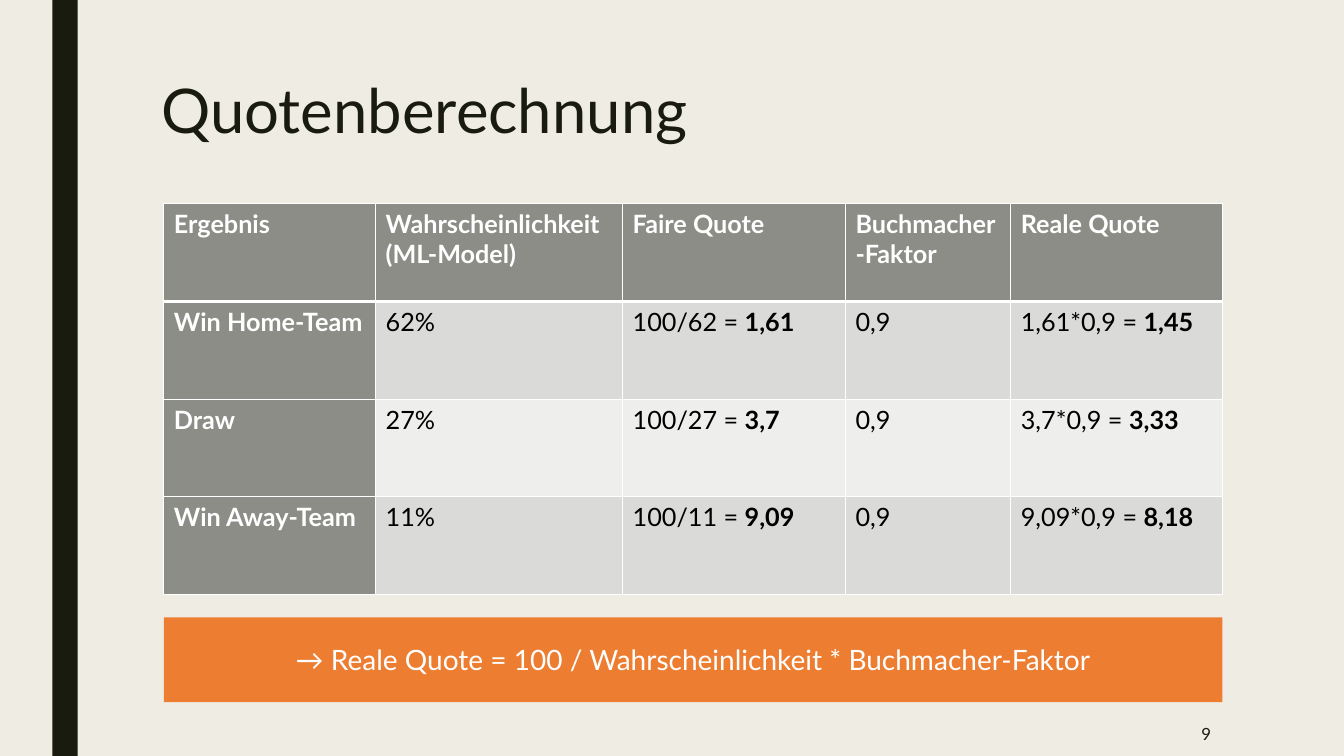
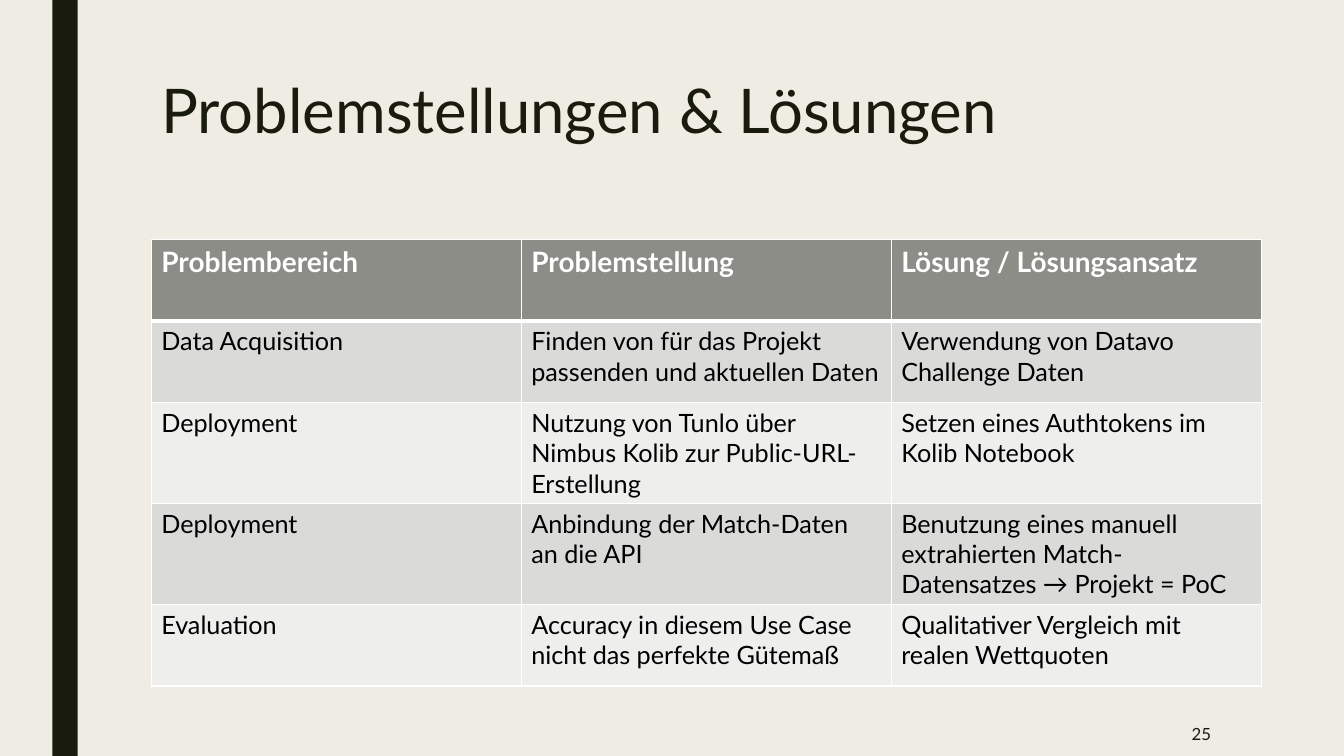
from dataclasses import dataclass

from lxml.etree import SubElement
from pptx import Presentation
from pptx.dml.color import RGBColor as RGB
from pptx.enum.shapes import MSO_SHAPE as SHAPE
from pptx.enum.text import MSO_ANCHOR as ANCHOR, PP_ALIGN as ALIGN
from pptx.oxml.ns import qn
from pptx.util import Inches, Pt


@dataclass(frozen=True)
class Theme:
    """Colours, type sizes and the half-inch grid of the deck."""
    font: str = "Lato"
    paper: str = "EFEDE3"
    ink: str = "191B0E"
    white: str = "FFFFFF"
    black: str = "000000"
    head: str = "8C8D86"
    bands: tuple = ("DADBD9", "EEEEED")
    accent: str = "ED7D31"
    title: int = 44
    lead: int = 20
    body: int = 18
    small: int = 12
    unit: float = 0.5
    columns: float = 26.66
    rows: float = 15


T = Theme()


def grid(n):
    """Turn grid units into a length."""
    return Inches(n * T.unit)


def box(*units):
    """Turn column, row, column span and row span into lengths."""
    return [grid(n) for n in units]


def paint(fill, color):
    """Fill with one solid colour."""
    fill.solid()
    fill.fore_color.rgb = RGB.from_string(color)


def write(tf, text, size, color, bold=False, align=ALIGN.LEFT):
    """Write one paragraph run by run; each second part between bars is bold."""
    p = tf.paragraphs[0]
    p.alignment = align
    for i, part in enumerate(text.split("|")):
        r = p.add_run()
        r.text = part
        r.font.name, r.font.size = T.font, Pt(size)
        r.font.bold = bold or i % 2 == 1
        r.font.color.rgb = RGB.from_string(color)
    return p


def add_bar(slide, units, color):
    """Add a plain filled rectangle."""
    sp = slide.shapes.add_shape(SHAPE.RECTANGLE, *box(*units))
    sp.shadow.inherit = False
    paint(sp.fill, color)
    sp.line.fill.background()
    return sp


def style_master(prs, slide):
    """Give the master its background and its vertical band."""
    master = prs.slide_master
    paint(master.background.fill, T.paper)
    band = add_bar(slide, (1.04, 0, 0.5, T.rows), T.ink).element
    band.nvSpPr.cNvPr.set("id", "100")
    master.element.cSld.spTree.append(band)


def add_slide(prs, title, title_rows, number):
    """Add a slide with its title and page number."""
    slide = prs.slides.add_slide(prs.slide_layouts[5])
    sp = slide.shapes.title
    sp.left, sp.top, sp.width, sp.height = box(3, 1.5, 21, title_rows)
    sp.text_frame.vertical_anchor = ANCHOR.TOP
    write(sp.text_frame, title, T.title, T.ink).line_spacing = 0.89
    tf = slide.shapes.add_textbox(*box(20.72, 14.12, 3.5, 0.88)).text_frame
    tf.word_wrap = True
    tf.vertical_anchor = ANCHOR.MIDDLE
    write(tf, number, T.small, T.ink, align=ALIGN.RIGHT)
    return slide


def add_borders(cell, top, bottom):
    """Draw white cell borders, with top and bottom widths in points."""
    tc_pr = cell._tc.get_or_add_tcPr()
    for side, width in (("L", 1), ("R", 1), ("T", top), ("B", bottom)):
        ln = SubElement(tc_pr, qn(f"a:ln{side}"), w=str(Pt(width)))
        SubElement(SubElement(ln, qn("a:solidFill")), qn("a:srgbClr"), val=T.white)


def add_table(slide, left, top, widths, row_height, rows, head_size, head_column=False):
    """Add a banded table with a header row and, if asked, a header column."""
    table = slide.shapes.add_table(
        len(rows), len(widths), *box(left, top, sum(widths), row_height * len(rows))).table
    table.first_col = head_column
    for column, width in zip(table.columns, widths):
        column.width = grid(width)
    for i, row in enumerate(rows):
        table.rows[i].height = grid(row_height)
        for j, text in enumerate(row):
            cell = table.cell(i, j)
            head = i == 0 or (head_column and j == 0)
            add_borders(cell, 3 if i == 1 else 1, 3 if i == 0 else 1)
            paint(cell.fill, T.head if head else T.bands[(i - 1) % 2])
            write(cell.text_frame, text, head_size if i == 0 else T.body,
                  T.white if head else T.black, head)


def add_callout(slide, units, text):
    """Add an accent bar with centred text."""
    tf = add_bar(slide, units, T.accent).text_frame
    tf.word_wrap = True
    tf.vertical_anchor = ANCHOR.MIDDLE
    write(tf, text, T.lead, T.white, align=ALIGN.CENTER)


ODDS = [
    ("Ergebnis", "Wahrscheinlichkeit (ML-Model)", "Faire Quote", "Buchmacher-Faktor", "Reale Quote"),
    ("Win Home-Team", "62%", "100/62 = |1,61", "0,9", "1,61*0,9 = |1,45"),
    ("Draw", "27%", "100/27 = |3,7", "0,9", "3,7*0,9 = |3,33"),
    ("Win Away-Team", "11%", "100/11 = |9,09", "0,9", "9,09*0,9 = |8,18"),
]

PROBLEMS = [
    ("Problembereich", "Problemstellung", "Lösung / Lösungsansatz"),
    ("Data Acquisition", "Finden von für das Projekt passenden und aktuellen Daten",
     "Verwendung von Datavo Challenge Daten"),
    ("Deployment", "Nutzung von Tunlo über Nimbus Kolib zur Public-URL-Erstellung",
     "Setzen eines Authtokens im Kolib Notebook"),
    ("Deployment", "Anbindung der Match-Daten an die API",
     "Benutzung eines manuell extrahierten Match-Datensatzes → Projekt = PoC"),
    ("Evaluation", "Accuracy in diesem Use Case nicht das perfekte Gütemaß",
     "Qualitativer Vergleich mit realen Wettquoten"),
]


def main():
    """Build and save the deck."""
    prs = Presentation()
    prs.slide_width, prs.slide_height = grid(T.columns), grid(T.rows)

    slide = add_slide(prs, "Quotenberechnung", 1.68, "9")
    style_master(prs, slide)
    add_table(slide, 3.25, 4.04, (4.2, 4.9, 4.42, 3.28, 4.2), 1.94, ODDS, T.body, True)
    add_callout(slide, (3.25, 12.25, 21, 1.68),
                "→ Reale Quote = 100 / Wahrscheinlichkeit * Buchmacher-Faktor")

    slide = add_slide(prs, "Problemstellungen & Lösungen", 3.24, "25")
    add_table(slide, 3, 4.75, (7.34,) * 3, 1.62, PROBLEMS, T.lead)

    prs.save("out.pptx")


if __name__ == "__main__":
    main()
